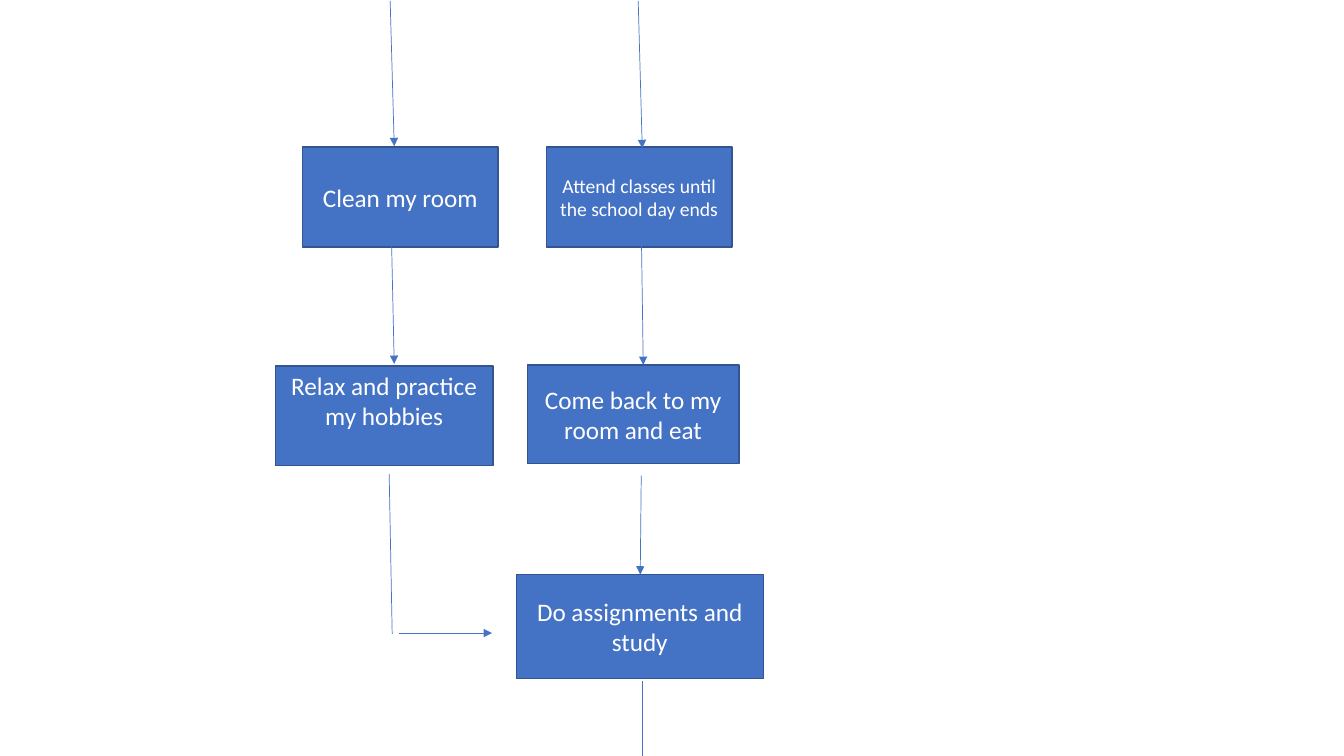
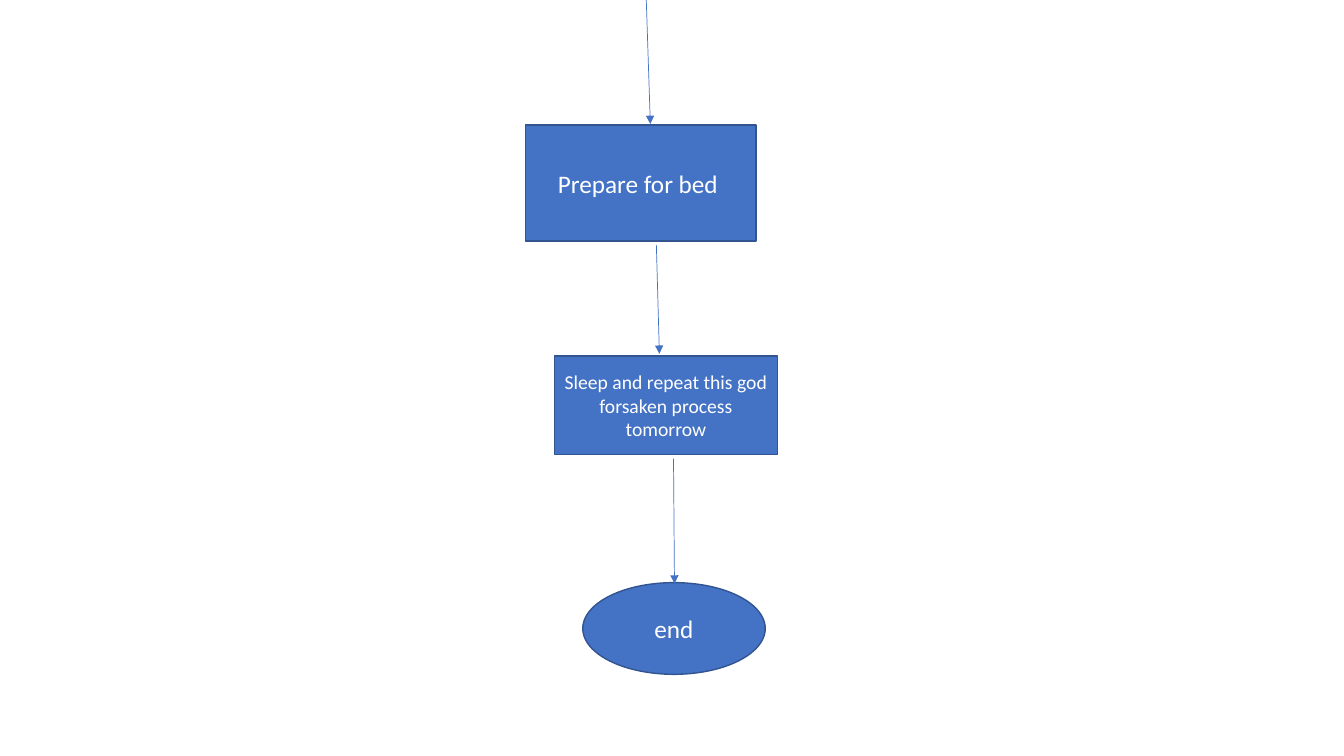
from lxml import etree
from pptx import Presentation
from pptx.dml.color import RGBColor
from pptx.enum.shapes import MSO_CONNECTOR as LINE, MSO_SHAPE as SHAPE
from pptx.enum.text import MSO_ANCHOR as ANCHOR, PP_ALIGN as ALIGN
from pptx.oxml.ns import qn
from pptx.util import Inches, Pt

# Shared style
BLUE, EDGE, WHITE = "4472C4", "325491", "FFFFFF"
FONT = "Calibri"
NORMAL, SMALL = 18, 14
LINE_HEIGHT = 0.3


def color(hex_text):
    return RGBColor.from_string(hex_text)


def add_step(slide, lane, place, text, size=NORMAL, kind=SHAPE.RECTANGLE, raise_by=0):
    """Add one flowchart step; place is measured from the lane's corner."""
    left, top, width, height = place
    step = slide.shapes.add_shape(
        kind, Inches(lane[0] + left), Inches(lane[1] + top), Inches(width), Inches(height))
    step.shadow.inherit = False
    step.fill.solid()
    step.fill.fore_color.rgb = color(BLUE)
    step.line.color.rgb = color(EDGE)
    step.line.width = Pt(1)
    frame = step.text_frame
    frame.word_wrap = True
    frame.vertical_anchor = ANCHOR.MIDDLE
    frame.margin_bottom = Inches(0.05 + raise_by)
    frame.text = text
    para = frame.paragraphs[0]
    para.alignment = ALIGN.CENTER
    font = para.runs[0].font
    font.name, font.size = FONT, Pt(size)
    font.color.rgb = color(WHITE)


def add_flow(slide, lane, start, end, arrow=True):
    """Add a flow line, with an arrowhead at its end unless told otherwise."""
    flow = slide.shapes.add_connector(
        LINE.STRAIGHT,
        Inches(lane[0] + start[0]), Inches(lane[1] + start[1]),
        Inches(lane[0] + end[0]), Inches(lane[1] + end[1]))
    flow.line.color.rgb = color(BLUE)
    flow.line.width = Pt(0.5)
    properties = flow.element.spPr
    if arrow:
        etree.SubElement(properties.find(qn("a:ln")), qn("a:tailEnd"), type="triangle")
    etree.SubElement(properties, qn("a:effectLst"))


def draw_hobby_lane(slide, lane):
    add_step(slide, lane, (0.27, 1.46, 1.94, 0.99), "Clean my room")
    add_step(slide, lane, (0, 3.63, 2.16, 0.99), "Relax and practice my hobbies",
             raise_by=LINE_HEIGHT)
    add_flow(slide, lane, (1.14, 0.01), (1.18, 1.45))
    add_flow(slide, lane, (1.15, 2.24), (1.18, 3.61))
    # Bend towards the study lane
    add_flow(slide, lane, (1.13, 4.7), (1.16, 6.29), arrow=False)
    add_flow(slide, lane, (1.23, 6.28), (2.15, 6.28))


def draw_study_lane(slide, lane):
    add_step(slide, lane, (0.3, 1.46, 1.84, 0.99),
             "Attend classes until the school day ends", SMALL)
    add_step(slide, lane, (0.11, 3.62, 2.1, 0.98), "Come back to my room and eat")
    add_step(slide, lane, (0, 5.7, 2.45, 1.03), "Do assignments and study")
    add_flow(slide, lane, (1.21, 0.01), (1.25, 1.47))
    add_flow(slide, lane, (1.24, 2.23), (1.26, 3.62))
    add_flow(slide, lane, (1.24, 4.72), (1.23, 5.7))
    # Runs on to the next slide
    add_flow(slide, lane, (1.25, 6.76), (1.25, 7.5), arrow=False)


def draw_evening_lane(slide, lane):
    add_step(slide, lane, (0, 1.24, 2.29, 1.15), "Prepare for bed\u00a0")
    add_step(slide, lane, (0.29, 3.53, 2.21, 0.98),
             "Sleep and repeat this god forsaken process tomorrow", SMALL)
    add_step(slide, lane, (0.57, 5.78, 1.81, 0.91), "end", kind=SHAPE.OVAL)
    add_flow(slide, lane, (1.2, 0), (1.24, 1.23))
    add_flow(slide, lane, (1.3, 2.43), (1.33, 3.51))
    add_flow(slide, lane, (1.47, 4.55), (1.48, 5.79))


deck = Presentation()
deck.slide_width, deck.slide_height = Inches(13.33), Inches(7.5)
blank = deck.slide_layouts[6]

# Slide 1: the two lanes of the day
day = deck.slides.add_slide(blank)
draw_hobby_lane(day, (2.73, 0))
draw_study_lane(day, (5.12, 0))

# Slide 2: the end of the day
evening = deck.slides.add_slide(blank)
draw_evening_lane(evening, (5.21, 0))

deck.save("out.pptx")
